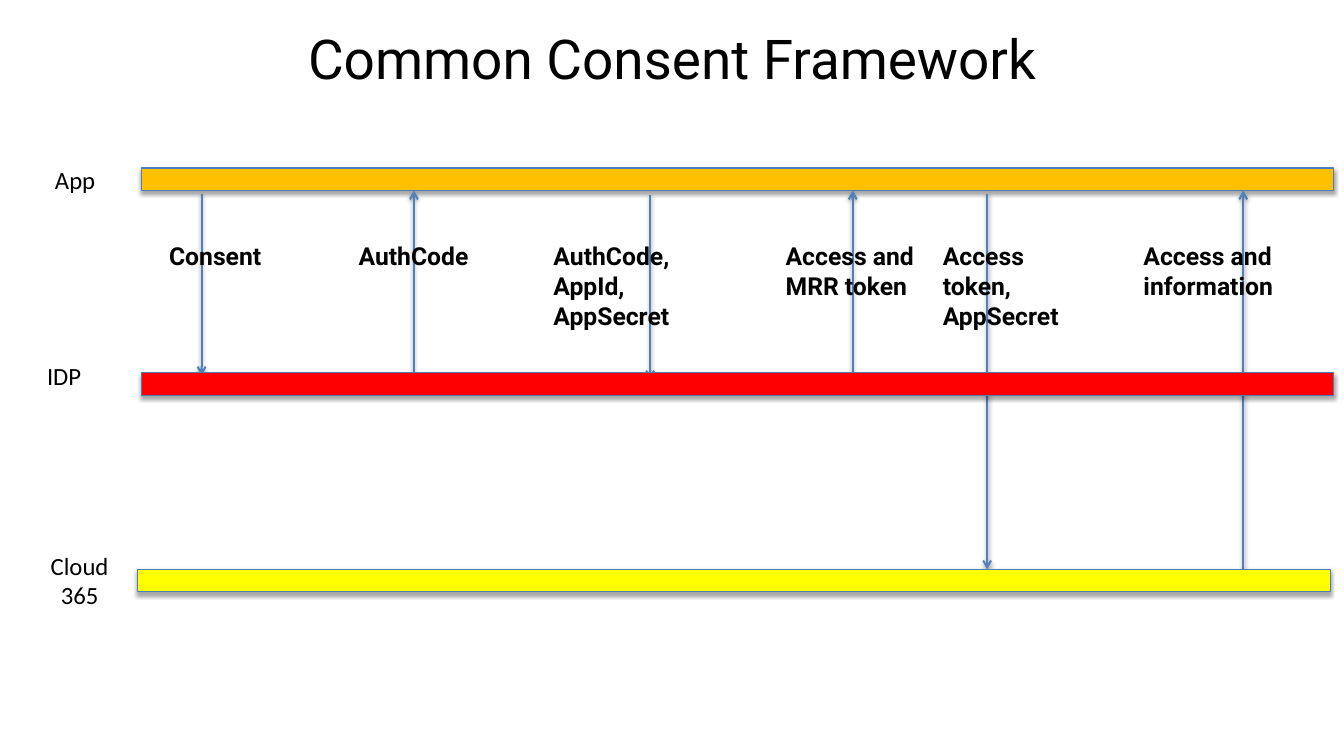
from lxml import etree
from pptx import Presentation
from pptx import util as u
from pptx.dml.color import RGBColor
from pptx.enum import shapes, text
from pptx.oxml.ns import qn

COLUMNS, ROWS = 40, 45
TITLE_ONLY = 5
BAR_HEIGHT = 1.35
MESSAGE_TOP = 14
APP, DIRECTORY, SUITE = 10, 22.18, 33.88  # top rows of the bars
APP_BASE = APP + BAR_HEIGHT


def color(hex_code):
    return RGBColor.from_string(hex_code)


class Sequence:
    """Holds the style and the current slide; lengths are grid columns and rows."""
    black, bar_line, arrow_line = "000000", "4B7EBC", "4F81BD"
    heading_font, label_font = "Roboto", "Calibri"

    def __init__(self, deck):
        self.page = deck.slides.add_slide(deck.slide_layouts[TITLE_ONLY])
        self.column = deck.slide_width / COLUMNS
        self.row = deck.slide_height / ROWS

    def place(self, *lengths):
        units = (self.column, self.row) * 2
        return [round(length * unit) for length, unit in zip(lengths, units)]

    def fill_text(self, box, lines, size, font, bold=False, align=text.PP_ALIGN.LEFT):
        frame = box.text_frame
        frame.word_wrap = True
        frame.margin_left = frame.margin_right = u.Inches(0.12)
        frame.margin_top = frame.margin_bottom = u.Inches(0.06)
        for index, line in enumerate(lines):
            para = frame.add_paragraph() if index else frame.paragraphs[0]
            para.alignment = align
            span = para.add_run()
            span.text = line
            span.font.size = u.Pt(size)
            span.font.name = font
            span.font.bold = bold
            span.font.color.rgb = color(self.black)
        return frame

    def title(self, wording):
        box = self.page.shapes.title
        box.left, box.top, box.width, box.height = self.place(2, 1.82, 36, 3.18)
        frame = self.fill_text(box, [wording], 40, self.heading_font,
                               align=text.PP_ALIGN.CENTER)
        frame.vertical_anchor = text.MSO_ANCHOR.MIDDLE
        frame.auto_size = text.MSO_AUTO_SIZE.NONE

    def textbox(self, left, top, width, height_lines, lines, font, **style):
        height = 0.76 + 1.76 * height_lines
        box = self.page.shapes.add_textbox(*self.place(left, top, width, height))
        frame = self.fill_text(box, lines, 18, font, **style)
        frame.auto_size = text.MSO_AUTO_SIZE.SHAPE_TO_FIT_TEXT

    def label(self, left, top, width, *lines):
        self.textbox(left, top, width, len(lines), lines, self.label_font,
                     align=text.PP_ALIGN.CENTER)

    def message(self, left, width, height_lines, wording):
        self.textbox(left, MESSAGE_TOP, width, height_lines, [wording],
                     self.heading_font, bold=True)

    def bar(self, left, top, fill):
        bar = self.page.shapes.add_shape(
            shapes.MSO_SHAPE.RECTANGLE, *self.place(left, top, 35.5, BAR_HEIGHT))
        bar.fill.solid()
        bar.fill.fore_color.rgb = color(fill)
        bar.line.color.rgb = color(self.bar_line)
        bar.line.width = u.Pt(0.75)
        self.shadow(bar, 1.8, 35)

    def arrow(self, x, start, end):
        arrow = self.page.shapes.add_connector(
            shapes.MSO_CONNECTOR.STRAIGHT, *self.place(x, start, x, end))
        arrow.line.color.rgb = color(self.arrow_line)
        arrow.line.width = u.Pt(1.5)
        outline = arrow._element.spPr.find(qn("a:ln"))
        etree.SubElement(outline, qn("a:tailEnd"), type="arrow")
        self.shadow(arrow, 1.6, 38)

    def shadow(self, shape, distance, opacity):
        """Adds a soft shadow straight below; call after fill and line are set."""
        effects = etree.SubElement(shape._element.spPr, qn("a:effectLst"))
        outer = etree.SubElement(
            effects, qn("a:outerShdw"), blurRad=str(u.Pt(3.1)),
            dist=str(u.Pt(distance)), dir="5400000", rotWithShape="0")
        tint = etree.SubElement(outer, qn("a:srgbClr"), val=self.black)
        etree.SubElement(tint, qn("a:alpha"), val=str(opacity * 1000))


def main():
    deck = Presentation()
    deck.slide_width, deck.slide_height = u.Inches(13.6), u.Inches(7.65)
    flow = Sequence(deck)
    flow.title("Common Consent Framework")

    flow.label(0.47, 9.47, 3.53, "App")
    flow.label(0.32, 21.12, 3.18, "IDP")
    flow.label(0.53, 32.41, 3.68, "Cloud", "365")

    flow.bar(4.2, APP, "FFC000")
    # arrow x, start, end; message left, width, lines, wording
    steps = [
        (6, 11.53, 22.35, 4.68, 4.68, 1, "Consent"),
        (12.32, DIRECTORY, APP_BASE, 10.32, 5.32, 1, "AuthCode"),
        (19.35, 11.59, 22.59, 16.12, 5.74, 3, "AuthCode, AppId, AppSecret"),
        (25.38, DIRECTORY, APP_BASE, 23.03, 4.68, 2, "Access and MRR token"),
        (29.38, 11.53, SUITE, 27.71, 5.32, 3, "Access token, AppSecret"),
        (37, SUITE, APP_BASE, 33.68, 6.03, 2, "Access and information"),
    ]
    for x, start, end, *message in steps:
        flow.arrow(x, start, end)
        flow.message(*message)
    flow.bar(4.2, DIRECTORY, "FF0000")
    flow.bar(4.09, SUITE, "FFFF00")
    deck.save("out.pptx")


if __name__ == "__main__":
    main()
